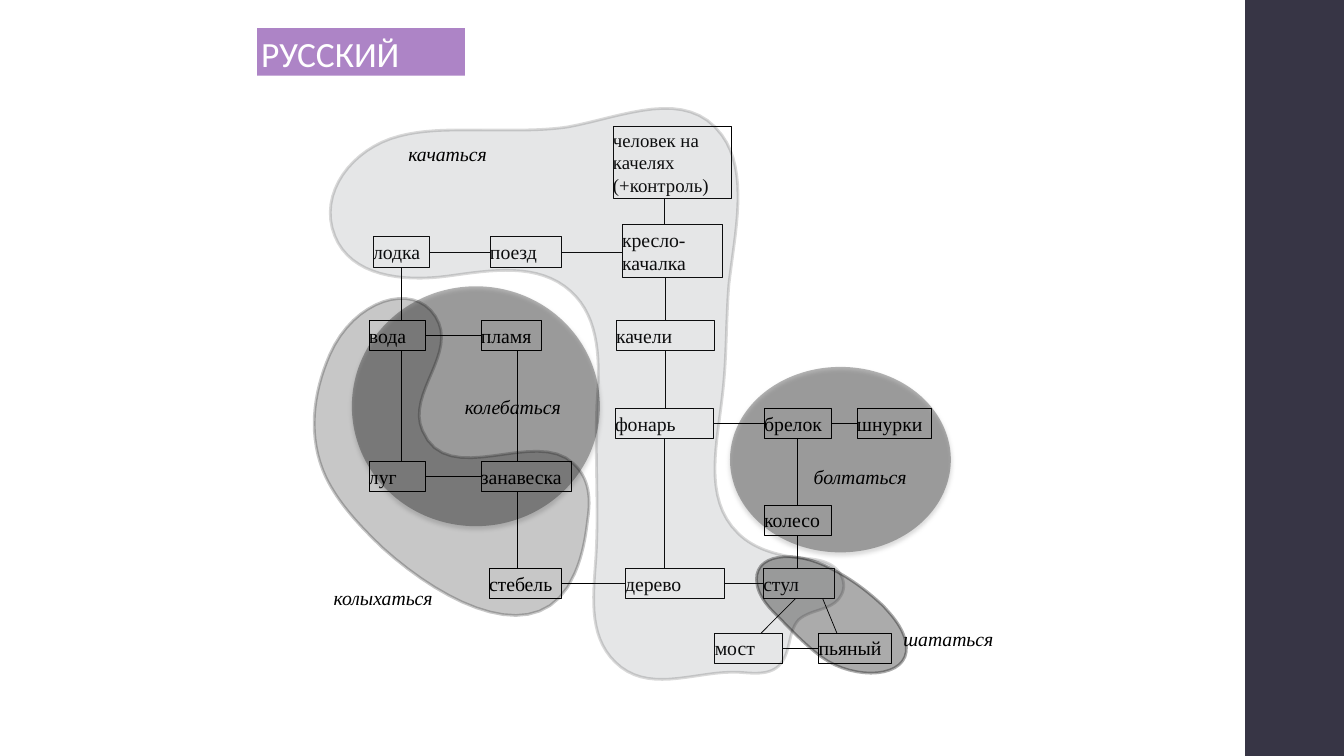
from pptx import Presentation
from pptx.dml.color import RGBColor
from pptx.enum.shapes import MSO_CONNECTOR as Link, MSO_SHAPE as Preset
from pptx.enum.text import MSO_ANCHOR as Anchor, MSO_AUTO_SIZE as AutoSize, PP_ALIGN as Align
from pptx.oxml.ns import qn
from pptx.util import Cm, Pt
from lxml.etree import SubElement

COLORS = {"black": "000000", "slate": "53585F", "bar": "373545", "lilac": "AD84C6", "white": "FFFFFF"}
CM_PER_UNIT = 2.54
ROW = 0.3
STEPS = 16
SERIF = "Times New Roman"

BOXES = {
    "человек на качелях (+контроль)": (6.08, 1.25, 1.17, 0.72, 13.4),
    "кресло-качалка": (6.17, 2.23, 0.99, 0.52),
    "качели": (6.11, 3.18, 0.98),
    "фонарь": (6.1, 4.05, 0.98),
    "дерево": (6.2, 5.64, 0.98),
    "брелок": (7.58, 4.05, 0.67),
    "шнурки": (8.5, 4.05, 0.74),
    "колесо": (7.58, 5.01, 0.67),
    "стул": (7.57, 5.64, 0.71),
    "мост": (7.09, 6.28, 0.67),
    "пьяный": (8.12, 6.28, 0.72),
    "поезд": (4.86, 2.35, 0.71),
    "лодка": (3.7, 2.35, 0.56),
    "вода": (3.66, 3.18, 0.56),
    "пламя": (4.77, 3.18, 0.6),
    "луг": (3.66, 4.58, 0.56),
    "занавеска": (4.77, 4.58, 0.9),
    "стебель": (4.85, 5.64, 0.72),
}
ROW_LINKS = [
    ("лодка", "поезд"), ("поезд", "кресло-качалка"), ("вода", "пламя"),
    ("луг", "занавеска"), ("фонарь", "брелок"), ("брелок", "шнурки"),
    ("стебель", "дерево"), ("дерево", "стул"), ("мост", "пьяный"),
]
COLUMN_LINKS = [
    ("человек на качелях (+контроль)", "кресло-качалка", 6.59, 6.59),
    ("кресло-качалка", "качели", 6.6, 6.6),
    ("качели", "фонарь", 6.6, 6.6),
    ("фонарь", "дерево", 6.59, 6.59),
    ("брелок", "колесо", 7.91, 7.91),
    ("колесо", "стул", 7.91, 7.91),
    ("стул", "мост", 7.89, 7.55),
    ("стул", "пьяный", 8.16, 8.3),
    ("лодка", "вода", 3.98, 3.98),
    ("вода", "луг", 3.98, 3.98),
    ("пламя", "занавеска", 5.13, 5.13),
    ("занавеска", "стебель", 5.13, 5.13),
]
LABELS = {
    "качаться": (4.05, 1.41, 0.87),
    "колебаться": (4.61, 3.92, 1.04),
    "колыхаться": (3.31, 5.82, 1.07),
    "болтаться": (8.07, 4.62, 1.01),
    "шататься": (8.96, 6.23, 0.98),
}
SWING_ZONE = [
    (6.16, 6.62), (5.83, 6.36), (5.88, 5.96), (5.91, 5.53), (5.94, 5.07), (5.9, 4.52), (5.92, 4.02),
    (5.95, 3.61), (5.96, 3.16), (5.66, 2.89), (5.34, 2.6), (4.87, 2.68), (4.44, 2.74),
    (3.99, 2.8), (3.48, 2.74), (3.32, 2.34), (3.15, 1.92), (3.49, 1.47), (3.96, 1.35),
    (4.23, 1.28), (4.51, 1.29), (4.79, 1.29), (5.07, 1.29), (5.35, 1.3), (5.63, 1.26),
    (6.18, 1.16), (6.81, 0.86), (7.16, 1.34), (7.43, 1.71), (7.29, 2.3), (7.23, 2.82),
    (7.2, 3.17), (7.21, 3.53), (7.17, 3.88), (7.12, 4.38), (6.96, 4.94), (7.32, 5.29),
    (7.49, 5.46), (7.75, 5.52), (7.99, 5.54), (8.11, 5.55), (8.23, 5.57), (8.31, 5.66),
    (8.37, 5.73), (8.39, 5.83), (8.34, 5.91), (8.26, 6.06), (8.04, 6.04), (7.92, 6.15),
    (7.81, 6.27), (7.85, 6.49), (7.72, 6.61), (7.62, 6.7), (7.47, 6.68), (7.33, 6.67),
    (6.93, 6.65), (6.49, 6.87), (6.16, 6.62),
]
RIPPLE_ZONE = [
    (3.27, 3.52), (3.51, 2.97), (4.1, 2.79), (4.32, 3.14), (4.55, 3.5), (4.03, 3.9), (4.19, 4.27),
    (4.44, 4.87), (5.31, 4.23), (5.69, 4.6), (5.85, 4.75), (5.86, 4.95), (5.83, 5.15),
    (5.81, 5.32), (5.78, 5.51), (5.7, 5.69), (5.37, 6.48), (4.42, 6), (3.8, 5.44),
    (3.58, 5.23), (3.36, 5), (3.23, 4.73), (3.05, 4.34), (3.1, 3.91), (3.27, 3.52),
]
STAGGER_ZONE = [
    (7.51, 5.81), (7.44, 5.48), (7.89, 5.45), (8.24, 5.64), (8.46, 5.75), (8.62, 5.88), (8.76, 6.01),
    (8.86, 6.12), (8.97, 6.24), (8.99, 6.41), (9.02, 6.73), (8.48, 6.76), (8.15, 6.52),
    (7.96, 6.38), (7.8, 6.2), (7.64, 6.04), (7.58, 5.97), (7.53, 5.9), (7.51, 5.81),
]


def cm(value):
    """Convert a layout unit to a length."""
    return Cm(value * CM_PER_UNIT)


def rgb(name):
    """Look up a colour by name."""
    return RGBColor.from_string(COLORS[name])


def paint(style, color, opacity=100):
    """Apply a solid colour, with opacity in percent, to a fill."""
    style.solid()
    style.fore_color.rgb = rgb(color)
    if opacity < 100:
        solid = style.fore_color._xFill
        SubElement(solid[0], qn("a:alpha"), val=str(opacity * 1000))


def write(frame, text, size, color="black", font=SERIF, italic=False, inset=0, anchor=Anchor.MIDDLE):
    """Put left-aligned text in a frame."""
    frame.text = text
    frame.word_wrap = True
    frame.auto_size = AutoSize.NONE
    frame.vertical_anchor = anchor
    frame.margin_left = frame.margin_right = cm(inset)
    frame.margin_top = frame.margin_bottom = cm(inset)
    para = frame.paragraphs[0]
    para.alignment = Align.LEFT
    style = para.runs[0].font
    style.name, style.size, style.italic = font, Pt(size), italic
    style.color.rgb = rgb(color)


def add_title(page, text):
    """Place the filled title in the title placeholder."""
    title = page.shapes.title
    title.left, title.top, title.width, title.height = map(cm, (2.55, 0.28, 2.06, 0.47))
    paint(title.fill, "lilac")
    write(title.text_frame, text, 25.3, "white", "Calibri", inset=0.04, anchor=Anchor.TOP)


def add_shape(page, preset, place, color, opacity=100):
    """Draw a preset shape without an outline."""
    shape = page.shapes.add_shape(preset, *map(cm, place))
    shape.shadow.inherit = False
    shape.line.fill.background()
    paint(shape.fill, color, opacity)
    return shape


def add_box(page, text, left, top, width, height=ROW, size=14.1):
    """Draw an outlined word box."""
    box = add_shape(page, Preset.RECTANGLE, (left, top, width, height), "white")
    box.fill.background()
    box.line.width = Pt(0.5)
    paint(box.line.fill, "black")
    write(box.text_frame, text, size)


def add_link(page, start, end):
    """Draw a thin straight line between two points."""
    link = page.shapes.add_connector(Link.STRAIGHT, *map(cm, start + end))
    link.line.width = Pt(0.5)
    paint(link.line.fill, "black")
    SubElement(link._element.spPr, qn("a:effectLst"))


def add_links(page):
    """Join the word boxes along rows and columns."""
    for first, second in ROW_LINKS:
        left, top, width = BOXES[first][:3]
        middle = top + ROW / 2
        add_link(page, (left + width, middle), (BOXES[second][0], middle))
    for upper, lower, start, end in COLUMN_LINKS:
        top, height = BOXES[upper][1], (*BOXES[upper], ROW)[3]
        add_link(page, (start, top + height), (end, BOXES[lower][1]))


def add_oval(page, *place):
    """Draw a translucent oval with a soft shadow."""
    oval = add_shape(page, Preset.OVAL, place, "black", 29)
    effects = oval._element.spPr.find(qn("a:effectLst"))
    shadow = SubElement(effects, qn("a:outerShdw"), blurRad=str(Pt(3)), dist=str(Pt(2)),
                        dir="5400000", rotWithShape="0")
    tint = SubElement(shadow, qn("a:srgbClr"), val=COLORS["black"])
    SubElement(tint, qn("a:alpha"), val="50000")


def bezier(nodes, t):
    """Return the point at t on a cubic curve."""
    weights = ((1 - t) ** 3, 3 * t * (1 - t) ** 2, 3 * t * t * (1 - t), t ** 3)
    return tuple(cm(sum(w * node[axis] for w, node in zip(weights, nodes))) for axis in (0, 1))


def add_zone(page, nodes, color, opacity):
    """Draw a translucent closed area with a curved outline."""
    points = [bezier(nodes[i:i + 4], step / STEPS)
              for i in range(0, len(nodes) - 1, 3) for step in range(STEPS)]
    builder = page.shapes.build_freeform(*points[0])
    builder.add_line_segments(points[1:], close=True)
    zone = builder.convert_to_shape()
    zone.shadow.inherit = False
    paint(zone.fill, color, opacity)
    zone.line.width = Pt(2)
    paint(zone.line.fill, "black", opacity)


def add_label(page, text, left, top, width):
    """Add an italic verb label."""
    label = page.shapes.add_textbox(*map(cm, (left, top, width, 0.22)))
    write(label.text_frame, text, 14.1, italic=True)


def main():
    """Build the slide and save it."""
    deck = Presentation()
    deck.slide_width, deck.slide_height = cm(13.33), cm(7.5)
    page = deck.slides.add_slide(deck.slide_layouts[5])
    add_shape(page, Preset.RECTANGLE, (12.35, 0, 0.98, 7.5), "bar")
    add_title(page, "РУССКИЙ")
    for text, place in BOXES.items():
        add_box(page, text, *place)
    add_links(page)
    add_oval(page, 7.24, 3.64, 2.19, 1.84)
    add_zone(page, SWING_ZONE, "slate", 15)
    add_oval(page, 3.49, 2.84, 2.46, 2.38)
    add_zone(page, RIPPLE_ZONE, "black", 22)
    add_zone(page, STAGGER_ZONE, "black", 33)
    for text, place in LABELS.items():
        add_label(page, text, *place)
    deck.save("out.pptx")


if __name__ == "__main__":
    main()
